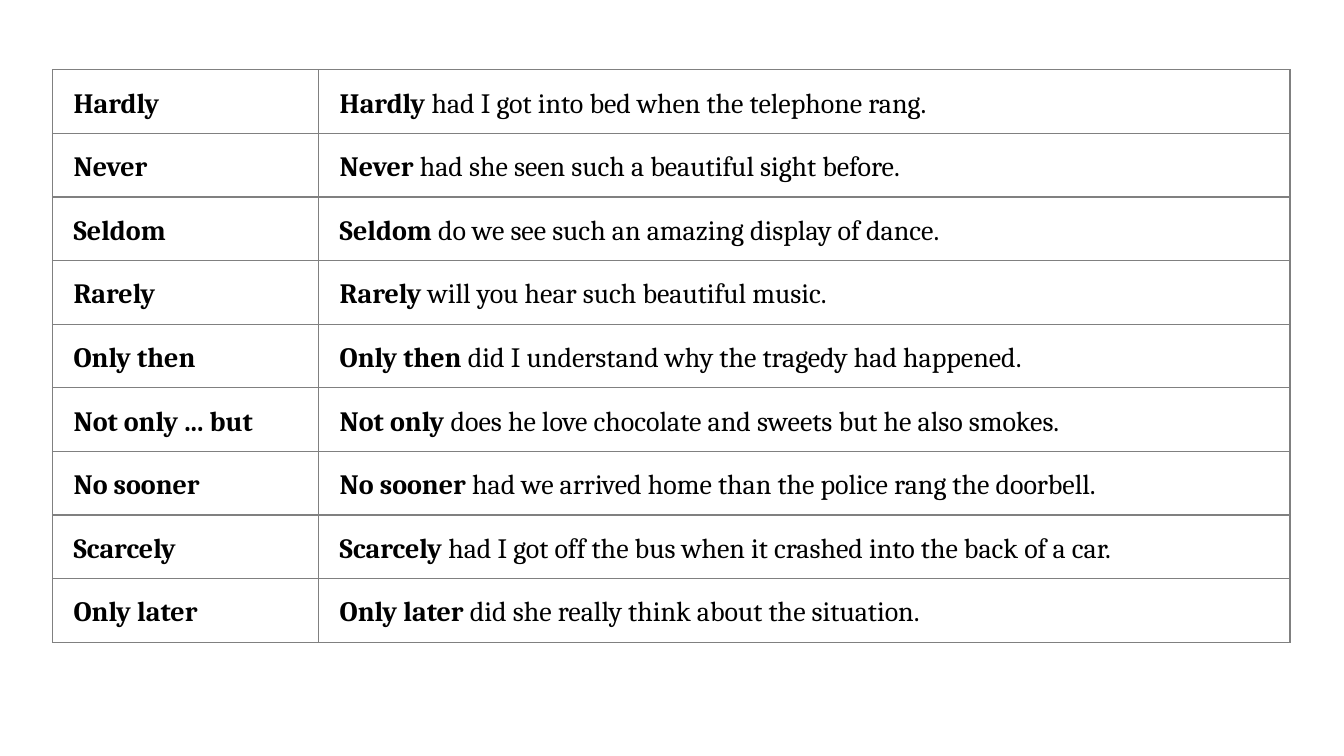
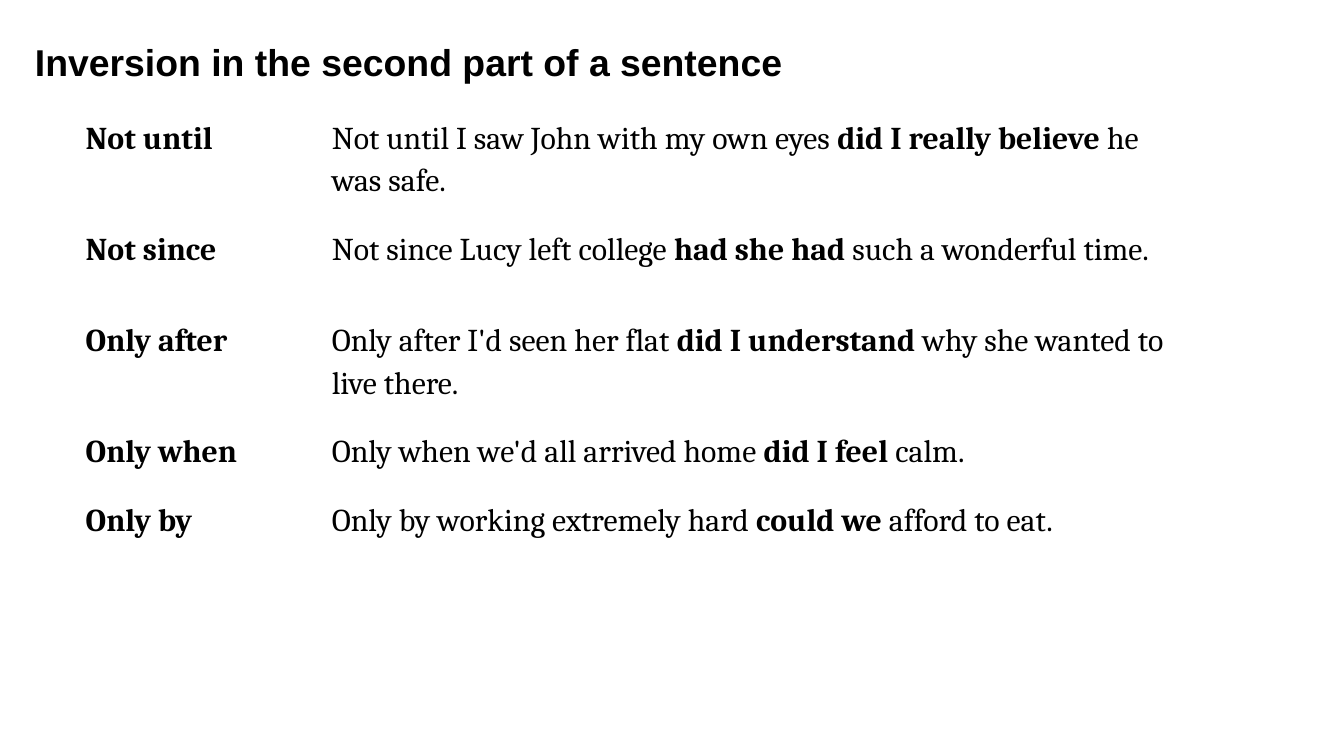
from dataclasses import dataclass

from lxml.etree import SubElement
from pptx import Presentation
from pptx.dml.color import RGBColor
from pptx.enum.text import MSO_ANCHOR as Anchor, MSO_AUTO_SIZE as AutoSize, PP_ALIGN as Align
from pptx.oxml.ns import qn
from pptx.util import Cm, Pt

BLACK = "000000"
GREY = "808080"
INSET = Cm(0.25)
TITLE_ONLY, BLANK = 5, 6


@dataclass
class Example:
    phrase: str
    sentence: str
    height: float = 1.09


@dataclass
class Grid:
    left: float
    top: float
    widths: tuple[float, float]
    size: float
    examples: list[Example]
    border: str | None = None


INVERSIONS = Grid(0.99, 1.32, (5.03, 18.36), 15, [
    Example("Hardly", "*Hardly *had I got into bed when the telephone rang."),
    Example("Never", "*Never *had she seen such a beautiful sight before."),
    Example("Seldom", "*Seldom *do we see such an amazing display of dance."),
    Example("Rarely", "*Rarely *will you hear such beautiful music."),
    Example("Only then", "*Only then *did I understand why the tragedy had happened."),
    Example("Not only ... but", "*Not only* does he love chocolate and sweets but he also smokes."),
    Example("No sooner", "*No sooner* had we arrived home than the police rang the doorbell."),
    Example("Scarcely", "*Scarcely *had I got off the bus when it crashed into the back of a car."),
    Example("Only later", "*Only later* did she really think about the situation."),
], GREY)

SECOND_PART = Grid(1.22, 1.93, (4.65, 16.74), 17, [
    Example("Not until", "Not until I saw John with my own eyes *did I really believe* he was safe.", 1.73),
    Example("Not since", "Not since Lucy left college *had she had *such a wonderful time.", 1.73),
    Example("Only after", "Only after I'd seen her flat *did I understand* why she wanted to live there.", 1.73),
    Example("Only when", "Only when we'd all arrived home *did I feel *calm.", 1.07),
    Example("Only by", "Only by working extremely hard *could we* afford to eat.", 3.76),
])


def rgb(color: str) -> RGBColor:
    return RGBColor.from_string(color)


def write(tf, text: str, *, size: float, font: str = "Cambria", color: str = BLACK,
          spacing: float = 1.15, indent: float = 0.15) -> None:
    """Write text in which asterisks enclose the bold parts."""
    p = tf.paragraphs[0]
    p.alignment = Align.LEFT
    p.line_spacing = spacing
    pPr = p._p.get_or_add_pPr()
    pPr.set("marL", str(Cm(indent)))
    pPr.set("indent", "0")
    for i, part in enumerate(text.split("*")):
        if part:
            r = p.add_run()
            r.text = part
            r.font.name = font
            r.font.size = Pt(size)
            r.font.bold = i % 2 == 1
            r.font.color.rgb = rgb(color)


def set_insets(box) -> None:
    box.margin_left = box.margin_top = box.margin_right = box.margin_bottom = INSET


def set_borders(cell, color: str | None) -> None:
    tcPr = cell._tc.get_or_add_tcPr()
    for i, side in enumerate(("lnL", "lnR", "lnT", "lnB")):
        ln = SubElement(tcPr, qn(f"a:{side}"), w=str(Pt(0.75)))
        if color:
            SubElement(SubElement(ln, qn("a:solidFill")), qn("a:srgbClr"), val=color)
        else:
            SubElement(ln, qn("a:noFill"))
        tcPr.insert(i, ln)


def add_grid(slide, grid: Grid) -> None:
    height = sum(e.height for e in grid.examples)
    frame = slide.shapes.add_table(len(grid.examples), 2, Cm(grid.left), Cm(grid.top),
                                   Cm(sum(grid.widths)), Cm(height))
    table = frame.table
    table.first_row = table.horz_banding = False
    for column, width in zip(table.columns, grid.widths):
        column.width = Cm(width)
    for row, example in zip(table.rows, grid.examples):
        row.height = Cm(example.height)
        for cell, text in zip(row.cells, (f"*{example.phrase}*", example.sentence)):
            set_insets(cell)
            cell.fill.background()
            set_borders(cell, grid.border)
            write(cell.text_frame, text, size=grid.size)


def set_title(slide, text: str) -> None:
    sp = slide.shapes.title
    sp.left, sp.top, sp.width, sp.height = Cm(0.41), Cm(0.38), Cm(14.73), Cm(1.55)
    tf = sp.text_frame
    tf.word_wrap = True
    tf.auto_size = AutoSize.NONE
    tf.vertical_anchor = Anchor.MIDDLE
    set_insets(tf)
    write(tf, f"*{text}*", size=20, font="Arial", spacing=1.0, indent=0)


def main() -> None:
    prs = Presentation()
    prs.slide_width, prs.slide_height = Cm(25.4), Cm(14.29)

    slide = prs.slides.add_slide(prs.slide_layouts[BLANK])
    add_grid(slide, INVERSIONS)

    slide = prs.slides.add_slide(prs.slide_layouts[TITLE_ONLY])
    set_title(slide, "Inversion in the second part of a sentence")
    add_grid(slide, SECOND_PART)

    prs.save("out.pptx")


if __name__ == "__main__":
    main()
